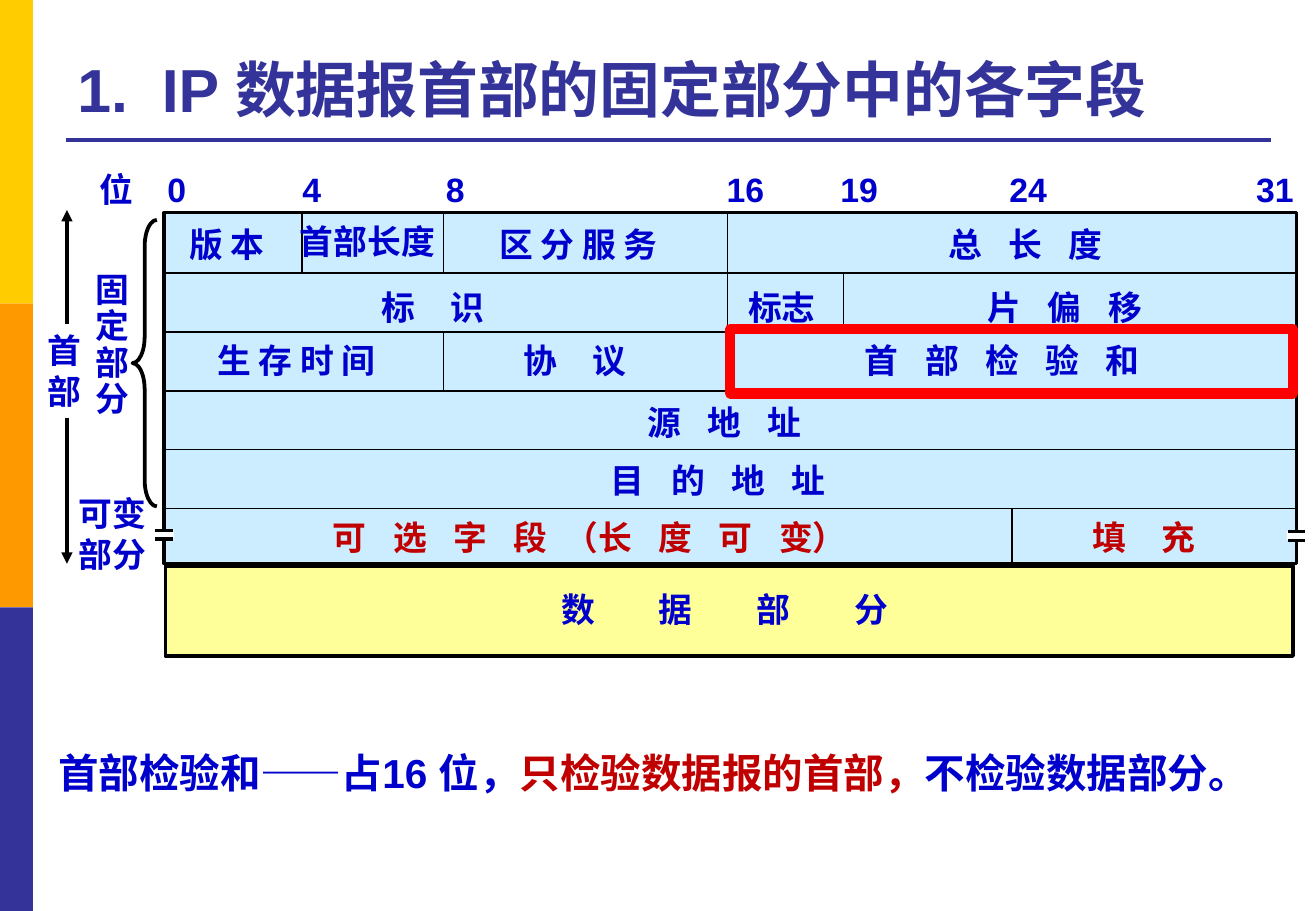
from lxml import etree
from pptx import Presentation
from pptx import util as u
from pptx.dml.color import RGBColor
from pptx.enum import shapes, text
from pptx.oxml.ns import qn

HUES = {
    "ink": "0000CC", "warn": "C00000", "navy": "333399", "gold": "FFCC00",
    "orange": "FF9900", "sky": "CCECFF", "cream": "FFFF99", "red": "FF0000",
    "black": "000000", "white": "FFFFFF",
}
KINDS = shapes.MSO_SHAPE

# Horizontal place of each bit border, in cm
BITS = {0: 3.43, 4: 6.32, 8: 9.27, 16: 15.21, 19: 17.63, 24: 21.16, 32: 27.1}
TOP, PITCH, BASE = 4.45, 1.23, 11.79

# Extra tracking in points for three kinds of spread lettering
LOOSE, WIDE, VAST = 5.56, 8.34, 16.7


def hue(name):
    return RGBColor.from_string(HUES[name])


class Slide:
    font = "Arial"

    def __init__(self, deck):
        self.canvas = deck.slides.add_slide(deck.slide_layouts[6]).shapes

    def shape(self, kind, left, top, width, height, fill=None, line=None, weight=1):
        item = self.canvas.add_shape(kind, *map(u.Cm, (left, top, width, height)))
        item.shadow.inherit = False
        if fill:
            item.fill.solid()
            item.fill.fore_color.rgb = hue(fill)
        else:
            item.fill.background()
        if line:
            item.line.color.rgb = hue(line)
            item.line.width = u.Pt(weight)
        else:
            item.line.fill.background()
        return item

    def line(self, x1, y1, x2, y2, weight=1, color="black", heads=False):
        item = self.canvas.add_connector(
            shapes.MSO_CONNECTOR.STRAIGHT, *map(u.Cm, (x1, y1, x2, y2)))
        item.line.color.rgb = hue(color)
        item.line.width = u.Pt(weight)
        if heads:
            stroke = item._element.spPr.find(qn("a:ln"))
            for end in ("a:headEnd", "a:tailEnd"):
                etree.SubElement(stroke, qn(end), type="triangle")
        etree.SubElement(item._element.spPr, qn("a:effectLst"))

    def text(self, left, top, width, height, *rows, size=20, gap=1.0,
             anchor=text.MSO_ANCHOR.TOP):
        """Each row is a list of runs: (words, colour, tracking in points)."""
        box = self.canvas.add_textbox(*map(u.Cm, (left, top, width, height)))
        frame = box.text_frame
        frame.word_wrap = True
        frame.vertical_anchor = anchor
        frame.margin_right = 0
        for i, row in enumerate(rows):
            para = frame.add_paragraph() if i else frame.paragraphs[0]
            para.line_spacing = gap
            for words, color, track in row:
                run = para.add_run()
                run.text = words
                run.font.name = self.font
                run.font.size = u.Pt(size)
                run.font.bold = True
                run.font.color.rgb = hue(color)
                if track:
                    run._r.get_or_add_rPr().set("spc", str(round(track * 100)))

    def label(self, left, top, words, width=1.5, track=0, color="ink"):
        self.text(left, top, width, 1.09, [(words, color, track)])

    def stack(self, left, top, width, height, words, gap=1.0):
        rows = [[(word, "ink", 0)] for word in words]
        self.text(left, top, width, height, *rows, gap=gap)

    def cut(self, left, top):
        """Draw the double stroke that marks a row of variable length."""
        self.shape(KINDS.RECTANGLE, left, top, 0.4, 0.19, "white")
        for y in (top + 0.02, top + 0.2):
            self.line(left + 0.02, y, left + 0.38, y, 2)


def frame(page):
    for i, color in enumerate(("gold", "orange", "navy")):
        page.shape(KINDS.RECTANGLE, 0, 6.35 * i, 0.69, 6.35, color)
    page.line(1.37, 2.92, 26.57, 2.92, 2.25, "navy")
    page.text(1.37, 0.53, 25.17, 2.21,
              [("1.", "navy", 0), (" ", "navy", 10),
               ("IP 数据报首部的固定部分中的各字段", "navy", 0)],
              size=36, anchor=text.MSO_ANCHOR.BOTTOM)


def grid(page):
    left, right = BITS[0], BITS[32]
    page.shape(KINDS.RECTANGLE, left, TOP, right - left, BASE - TOP, "sky", "black", 2)
    page.shape(KINDS.RECTANGLE, 3.46, 11.84, 23.57, 1.88, "cream", "black", 2.25)
    rows = [TOP + 0.03 + PITCH * i for i in range(6)] + [BASE]
    for y in rows[1:6]:
        page.line(left, y, right, y)
    for bit, start, end in ((4, 0, 1), (8, 0, 1), (8, 2, 3), (16, 0, 3),
                            (19, 1, 2), (24, 5, 6)):
        page.line(BITS[bit], rows[start], BITS[bit], rows[end])


def labels(page):
    for left, words in ((1.83, "位"), (3.25, "0"), (6.07, "4"), (9.07, "8"),
                        (14.94, "16"), (17.32, "19"), (20.85, "24"), (26.01, "31")):
        page.label(left, 3.4, words)
    for left, top, words, width, track in (
            (3.71, 4.55, "版 本", 2.5, 0),
            (6.02, 4.5, "首部长度", 3.6, 0),
            (10.19, 4.55, "区 分 服 务", 4.5, 0),
            (19.58, 4.55, "总 长 度", 5, LOOSE),
            (7.72, 5.87, "标 识", 4, WIDE),
            (15.39, 5.87, "标志", 2.2, 0),
            (20.4, 5.87, "片 偏 移", 5, LOOSE),
            (4.29, 6.99, "生 存 时 间", 4.5, 0),
            (10.69, 6.99, "协 议", 4, WIDE),
            (17.83, 6.99, "首 部 检 验 和", 8, LOOSE),
            (13.28, 8.28, "源 地 址", 5, LOOSE),
            (12.52, 9.5, "目 的 地 址", 6, LOOSE),
            (11.48, 12.19, "数 据 部 分", 9, VAST)):
        page.label(left, top, words, width, track)
    page.text(6.71, 10.69, 13, 1.09,
              [("可 选 字 段", "warn", LOOSE), (" （", "warn", 0),
               ("长 度 可 ", "warn", LOOSE), ("变）", "warn", 0)])
    page.label(22.58, 10.69, "填 充", 4, WIDE, "warn")


def margin(page):
    page.line(1.4, 4.39, 1.4, 11.79, 2.25, heads=True)
    page.shape(KINDS.RECTANGLE, 0.74, 6.78, 1.22, 1.96, "white")
    page.stack(0.74, 6.78, 1.22, 1.96, ("首", "部"))
    page.stack(1.75, 5.59, 1.22, 3.33, "固定部分", 0.9)
    page.stack(1.4, 10.19, 2, 1.96, ("可变", "部分"))
    brace = page.shape(KINDS.LEFT_BRACE, 2.77, 4.6, 0.51, 5.99, None, "black", 2.25)
    brace.adjustments[0] = 1.08
    for left, top in ((3.23, 11.07), (26.9, 11.1)):
        page.cut(left, top)


def main():
    deck = Presentation()
    deck.slide_width, deck.slide_height = u.Cm(27.51), u.Cm(19.05)
    page = Slide(deck)
    frame(page)
    grid(page)
    labels(page)
    margin(page)
    page.text(0.97, 15.52, 26.5, 1.3,
              [("首部检验和——占16 位，", "ink", 0),
               ("只检验数据报的首部，", "warn", 0),
               ("不检验数据部分。", "ink", 0)], size=24)
    page.shape(KINDS.RECTANGLE, 15.27, 6.88, 11.76, 1.35, None, "red", 6)
    deck.save("out.pptx")


if __name__ == "__main__":
    main()
